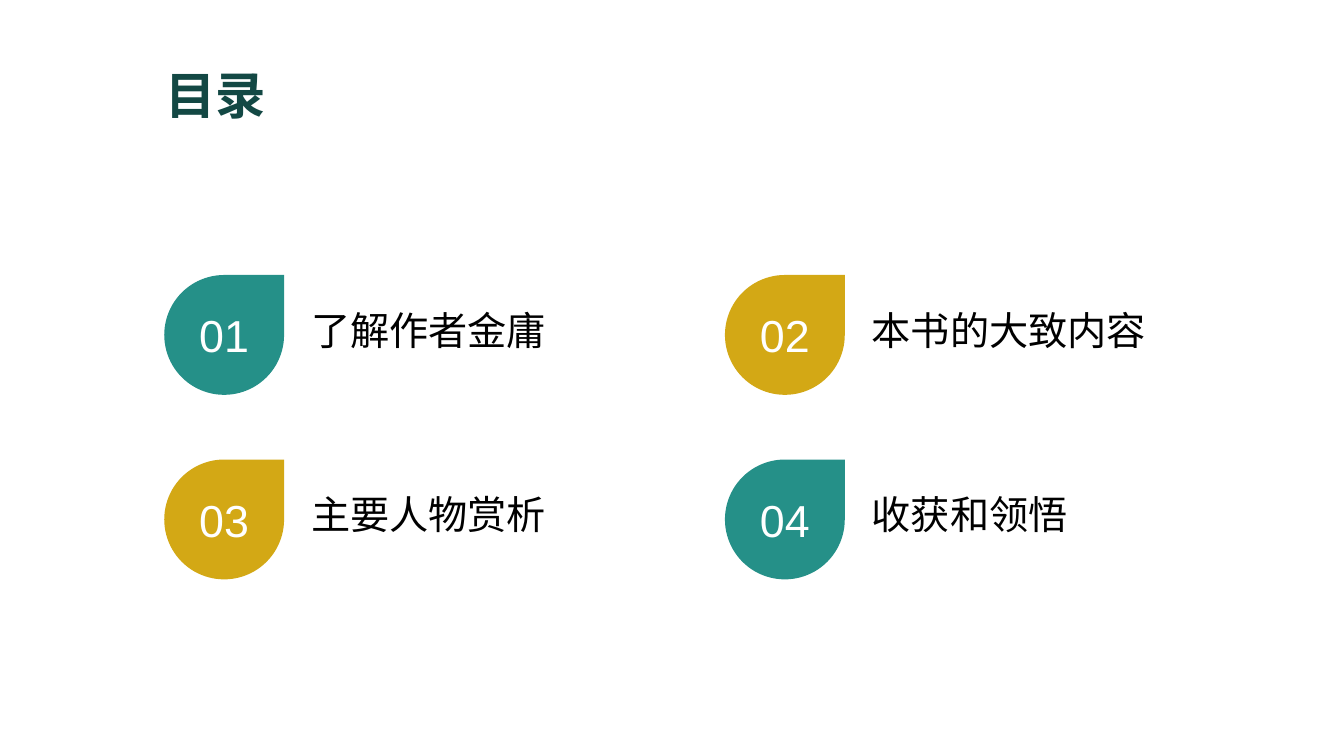
from dataclasses import dataclass

from pptx import Presentation
from pptx.dml.color import RGBColor
from pptx.enum.shapes import MSO_SHAPE
from pptx.enum.text import MSO_ANCHOR, MSO_AUTO_SIZE, PP_ALIGN
from pptx.slide import Slide
from pptx.text.text import TextFrame
from pptx.util import Cm, Pt

TEAR = MSO_SHAPE.TEAR
MIDDLE = MSO_ANCHOR.MIDDLE
NO_FIT = MSO_AUTO_SIZE.NONE
LEFT, CENTER = PP_ALIGN.LEFT, PP_ALIGN.CENTER

COLORS = {
    "title": "134844",
    "teal": "259088",
    "gold": "D3A815",
    "number": "FFFFFF",
    "label": "000000",
}
FORMATS = {
    "title": {"name": "Arial", "size": Pt(36), "bold": True},
    "number": {"name": "Arial", "size": Pt(32), "bold": False},
    "label": {"name": "Arial", "size": Pt(28), "bold": False},
}

# Grid of entries, in centimetres
COLUMNS = 2
GRID_LEFT, GRID_TOP = 4.14, 6.93
COLUMN_STEP, ROW_STEP = 14.13, 4.65
DROP_SIZE = 3.02
LABEL_DX, LABEL_DY = 3.45, 0.06
LABEL_WIDTH, LABEL_HEIGHT = 8.71, 2.64


@dataclass(frozen=True)
class Entry:
    number: str
    label: str
    color: str


ENTRIES = [
    Entry("01", "了解作者金庸", "teal"),
    Entry("02", "本书的大致内容", "gold"),
    Entry("03", "主要人物赏析", "gold"),
    Entry("04", "收获和领悟", "teal"),
]


def rgb(name: str) -> RGBColor:
    return RGBColor.from_string(COLORS[name])


def write_text(tf: TextFrame, text: str, style: str, align: PP_ALIGN, wrap: bool = True) -> None:
    tf.auto_size = NO_FIT
    tf.word_wrap = wrap
    tf.vertical_anchor = MIDDLE
    p = tf.paragraphs[0]
    p.alignment = align
    r = p.add_run()
    r.text = text
    for name, value in FORMATS[style].items():
        setattr(r.font, name, value)
    r.font.color.rgb = rgb(style)


def add_title(s: Slide, text: str) -> None:
    title = s.shapes.title
    title.left, title.top = Cm(3.91), Cm(1.35)
    title.width, title.height = Cm(27.56), Cm(2.24)
    write_text(title.text_frame, text, "title", LEFT)
    title.text_frame.paragraphs[0].line_spacing = 0.9


def add_entry(s: Slide, entry: Entry, left: float, top: float) -> None:
    """Draw a numbered drop with its label to the right."""
    drop = s.shapes.add_shape(TEAR, Cm(left), Cm(top), Cm(DROP_SIZE), Cm(DROP_SIZE))
    drop.shadow.inherit = False
    drop.fill.solid()
    drop.fill.fore_color.rgb = rgb(entry.color)
    drop.line.fill.background()
    write_text(drop.text_frame, entry.number, "number", CENTER, wrap=False)

    label = s.shapes.add_textbox(
        Cm(left + LABEL_DX), Cm(top + LABEL_DY), Cm(LABEL_WIDTH), Cm(LABEL_HEIGHT)
    )
    write_text(label.text_frame, entry.label, "label", LEFT)


def main() -> None:
    prs = Presentation()
    prs.slide_width, prs.slide_height = Cm(33.87), Cm(19.05)
    s = prs.slides.add_slide(prs.slide_layouts.get_by_name("Title Only"))
    add_title(s, "目录")
    for i, entry in enumerate(ENTRIES):
        row, column = divmod(i, COLUMNS)
        add_entry(s, entry, GRID_LEFT + column * COLUMN_STEP, GRID_TOP + row * ROW_STEP)
    prs.save("out.pptx")


if __name__ == "__main__":
    main()
